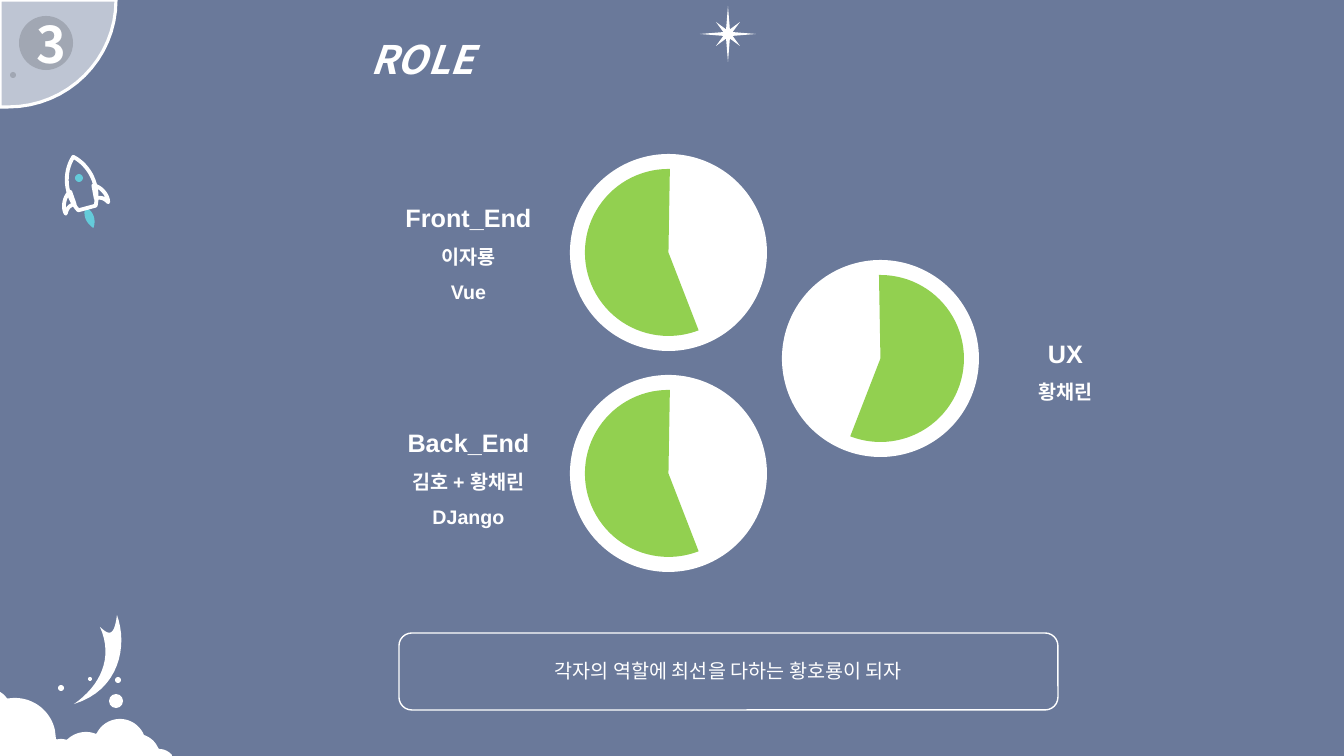
import math
from dataclasses import dataclass
from typing import NamedTuple, Optional

import lxml.etree
import pptx
import pptx.dml.color
import pptx.enum.shapes
import pptx.enum.text
import pptx.oxml.ns
import pptx.util

SLIDE_WIDTH, SLIDE_HEIGHT = 1344, 756
EMU_PER_PX = 12192000 / SLIDE_WIDTH
SHAPE = pptx.enum.shapes.MSO_SHAPE
ANCHOR = pptx.enum.text.MSO_ANCHOR
qn = pptx.oxml.ns.qn


@dataclass(frozen=True)
class Theme:
    background: str = "6A799A"
    white: str = "FFFFFF"
    shade: str = "000000"
    green: str = "92D050"
    cyan: str = "64CBDA"
    latin: str = "Arial"
    korean: str = "Noto Sans CJK KR"
    number: int = 36
    title: int = 28
    heading: int = 18
    body: int = 14
    rocket_line: float = 2.75
    planet_line: float = 2.25
    frame_line: float = 1


THEME = Theme()


class Point(NamedTuple):
    x: float
    y: float


class Curve(NamedTuple):
    control1: Point
    control2: Point
    end: Point


class Box(NamedTuple):
    left: int
    top: int
    width: int
    height: int


class Circle(NamedTuple):
    x: int
    y: int
    radius: int


class Line(NamedTuple):
    text: str
    size: int
    font: str = THEME.latin
    bold: bool = True
    italic: bool = False


@dataclass(frozen=True)
class Paint:
    fill: Optional[str] = None
    opacity: int = 100
    line_width: float = 0


@dataclass(frozen=True)
class Role:
    left: int
    top: int
    mirrored: bool
    label_left: int
    label_top: int
    lines: tuple[str, ...]


WHITE = Paint(THEME.white)
CYAN = Paint(THEME.cyan)
SHADE = Paint(THEME.shade, opacity=15)
PLANET_PAINT = Paint(THEME.white, 57, THEME.planet_line)
ROCKET_PAINT = Paint(line_width=THEME.rocket_line)
FRAME_PAINT = Paint(line_width=THEME.frame_line)

STAR_CENTER = Point(728, 34)
STAR_RADII = (28, 5, 17, 5) * 4
PLANET = [Point(0, 0), Point(0, 107), Point(8, 107),
          Curve(Point(68, 107), Point(116, 59), Point(116, 0))]
PLANET_CRATER = Circle(13, 75, 3)
BADGE = Box(19, 16, 54, 54)

ROCKET_BASE = Point(87, 208)
ROCKET_TILT = math.radians(15)
HULL_SIDE = [Point(0, -53), Curve(Point(14, -40), Point(18, -18), Point(9, 0))]
FIN = [Point(12, -20), Curve(Point(18, -18), Point(24, -8), Point(22, 0)),
       Curve(Point(19, -6), Point(15, -7), Point(11, -7))]
FLAME = [Point(-3, 2), Curve(Point(-6, 10), Point(-3, 16), Point(1, 21)),
         Curve(Point(6, 14), Point(5, 6), Point(1, 1))]
ROCKET_WINDOW = Circle(79, 178, 4)

MOON = [Point(117, 615), Curve(Point(128, 645), Point(120, 690), Point(74, 704)),
        Curve(Point(100, 686), Point(114, 658), Point(100, 627)),
        Curve(Point(107, 633), Point(114, 640), Point(117, 615))]
MOON_DOTS = [Circle(116, 701, 7), Circle(90, 679, 2), Circle(118, 680, 3), Circle(61, 688, 3)]
CLOUD_WIDTH = 172
CLOUD_PUFFS = [Circle(-11, 711, 22), Circle(15, 739, 41), Circle(61, 756, 17),
               Circle(86, 759, 27), Circle(120, 745, 26), Circle(137, 757, 23),
               Circle(159, 766, 17)]

TITLE_BOX = Box(156, 7, 532, 82)
FRAME_BOX = Box(399, 633, 659, 77)
MOTTO_BOX = Box(425, 654, 607, 34)
DISC_SIZE, PIE_INSET = 197, 15
PIE_START, PIE_END = 269, 111.2
PIE_UNITS_PER_DEGREE = 0.6
LABEL_WIDTH, LABEL_HEIGHT = 275, 125
ROLES = [
    Role(782, 260, False, 928, 301, ("UX", "황채린")),
    Role(570, 154, True, 331, 183, ("Front_End", "이자룡", "Vue")),
    Role(570, 375, True, 331, 408, ("Back_End", "김호 + 황채린", "DJango")),
]


def emu(pixels: float) -> int:
    return round(pixels * EMU_PER_PX)


def rgb(color: str) -> pptx.dml.color.RGBColor:
    return pptx.dml.color.RGBColor.from_string(color)


def bezier(start: Point, curve: Curve, t: float) -> Point:
    weights = ((1 - t) ** 3, 3 * t * (1 - t) ** 2, 3 * t * t * (1 - t), t ** 3)
    anchors = (start, *curve)
    return Point(sum(weight * anchor.x for weight, anchor in zip(weights, anchors)),
                 sum(weight * anchor.y for weight, anchor in zip(weights, anchors)))


def trace(steps: list, parts: int = 16) -> list[Point]:
    points = []
    for step in steps:
        if isinstance(step, Curve):
            start = points[-1]
            points += [bezier(start, step, part / parts) for part in range(1, parts + 1)]
        else:
            points.append(step)
    return points


def mirror(points: list[Point]) -> list[Point]:
    return [Point(-point.x, point.y) for point in points]


def tilt(points: list[Point]) -> list[Point]:
    cosine, sine = math.cos(ROCKET_TILT), math.sin(ROCKET_TILT)
    return [Point(ROCKET_BASE.x + x * cosine + y * sine, ROCKET_BASE.y - x * sine + y * cosine)
            for x, y in points]


def star_points() -> list[Point]:
    step = 2 * math.pi / len(STAR_RADII)
    return [Point(STAR_CENTER.x + radius * math.cos(index * step),
                  STAR_CENTER.y + radius * math.sin(index * step))
            for index, radius in enumerate(STAR_RADII)]


def cloud_points() -> list[Point]:
    def skyline(x: int) -> float:
        tops = [puff.y - math.sqrt(puff.radius ** 2 - (x - puff.x) ** 2)
                for puff in CLOUD_PUFFS if abs(x - puff.x) <= puff.radius]
        return min(tops + [SLIDE_HEIGHT])

    edge = [Point(x, skyline(x)) for x in range(CLOUD_WIDTH + 1)]
    return edge + [Point(CLOUD_WIDTH, SLIDE_HEIGHT), Point(0, SLIDE_HEIGHT)]


def apply_paint(shape, paint: Paint) -> None:
    shape.shadow.inherit = False
    if paint.fill:
        shape.fill.solid()
        shape.fill.fore_color.rgb = rgb(paint.fill)
        if paint.opacity < 100:
            color = shape.element.spPr.find(qn("a:solidFill"))[0]
            lxml.etree.SubElement(color, qn("a:alpha"), val=str(paint.opacity * 1000))
    else:
        shape.fill.background()
    if paint.line_width:
        shape.line.color.rgb = rgb(THEME.white)
        shape.line.width = pptx.util.Pt(paint.line_width)
    else:
        shape.line.fill.background()


def add_preset(slide, preset, box: Box, paint: Paint):
    shape = slide.shapes.add_shape(preset, *map(emu, box))
    apply_paint(shape, paint)
    return shape


def add_circle(slide, circle: Circle, paint: Paint) -> None:
    x, y, radius = circle
    add_preset(slide, SHAPE.OVAL, Box(x - radius, y - radius, 2 * radius, 2 * radius), paint)


def add_outline(slide, points: list[Point], paint: Paint) -> None:
    corners = [(emu(x), emu(y)) for x, y in points]
    builder = slide.shapes.build_freeform(*corners[0], scale=1.0)
    builder.add_line_segments(corners[1:], close=True)
    apply_paint(builder.convert_to_shape(), paint)


def write(shape, lines: list[Line], anchor, spacing: float = 1.0) -> None:
    frame = shape.text_frame
    frame.word_wrap = True
    frame.auto_size = pptx.enum.text.MSO_AUTO_SIZE.NONE
    frame.vertical_anchor = anchor
    for index, line in enumerate(lines):
        paragraph = frame.add_paragraph() if index else frame.paragraphs[0]
        paragraph.alignment = pptx.enum.text.PP_ALIGN.CENTER
        paragraph.line_spacing = spacing
        run = paragraph.add_run()
        run.text = line.text
        font = run.font
        font.size = pptx.util.Pt(line.size)
        font.name, font.bold, font.italic = line.font, line.bold, line.italic
        font.color.rgb = rgb(THEME.white)
        lxml.etree.SubElement(run._r.get_or_add_rPr(), qn("a:ea"), typeface=THEME.korean)


def add_text(slide, box: Box, lines: list[Line], anchor, spacing: float = 1.0) -> None:
    write(slide.shapes.add_textbox(*map(emu, box)), lines, anchor, spacing)


def add_title(slide) -> None:
    title = slide.shapes.title
    title.left, title.top, title.width, title.height = map(emu, TITLE_BOX)
    write(title, [Line("ROLE", THEME.title, THEME.korean, italic=True)], ANCHOR.TOP, 1.5)


def add_rocket(slide) -> None:
    side, fin = trace(HULL_SIDE), trace(FIN)
    add_outline(slide, tilt(trace(FLAME)), CYAN)
    for part in (side + mirror(side)[::-1], fin, mirror(fin)):
        add_outline(slide, tilt(part), ROCKET_PAINT)
    add_circle(slide, ROCKET_WINDOW, CYAN)


def add_planet(slide) -> None:
    add_outline(slide, trace(PLANET), PLANET_PAINT)
    add_circle(slide, PLANET_CRATER, SHADE)
    badge = add_preset(slide, SHAPE.OVAL, BADGE, SHADE)
    write(badge, [Line("3", THEME.number, THEME.korean)], ANCHOR.MIDDLE)


def add_night_sky(slide) -> None:
    add_outline(slide, star_points(), WHITE)
    add_outline(slide, cloud_points(), WHITE)
    add_outline(slide, trace(MOON), WHITE)
    for dot in MOON_DOTS:
        add_circle(slide, dot, WHITE)


def add_role(slide, role: Role) -> None:
    add_preset(slide, SHAPE.OVAL, Box(role.left, role.top, DISC_SIZE, DISC_SIZE), WHITE)
    side = DISC_SIZE - 2 * PIE_INSET
    pie = add_preset(slide, SHAPE.PIE, Box(role.left + PIE_INSET, role.top + PIE_INSET, side, side),
                     Paint(THEME.green))
    angles = (PIE_START, PIE_END)
    if role.mirrored:
        angles = tuple((180 - angle) % 360 for angle in reversed(angles))
    for index, angle in enumerate(angles):
        pie.adjustments[index] = angle * PIE_UNITS_PER_DEGREE
    heading, *details = role.lines
    lines = [Line(heading, THEME.heading)] + [Line(detail, THEME.body) for detail in details]
    label = Box(role.label_left, role.label_top, LABEL_WIDTH, LABEL_HEIGHT)
    add_text(slide, label, lines, ANCHOR.MIDDLE, 1.5)


def add_motto(slide) -> None:
    motto = Line("각자의 역할에 최선을 다하는 황호룡이 되자", THEME.body, bold=False)
    add_text(slide, MOTTO_BOX, [motto], ANCHOR.TOP)
    add_preset(slide, SHAPE.ROUNDED_RECTANGLE, FRAME_BOX, FRAME_PAINT)


def main() -> None:
    presentation = pptx.Presentation()
    presentation.slide_width, presentation.slide_height = emu(SLIDE_WIDTH), emu(SLIDE_HEIGHT)
    slide = presentation.slides.add_slide(presentation.slide_layouts[5])
    slide.background.fill.solid()
    slide.background.fill.fore_color.rgb = rgb(THEME.background)
    for add_part in (add_title, add_rocket, add_planet, add_night_sky):
        add_part(slide)
    for role in ROLES:
        add_role(slide, role)
    add_motto(slide)
    presentation.save("out.pptx")


if __name__ == "__main__":
    main()
